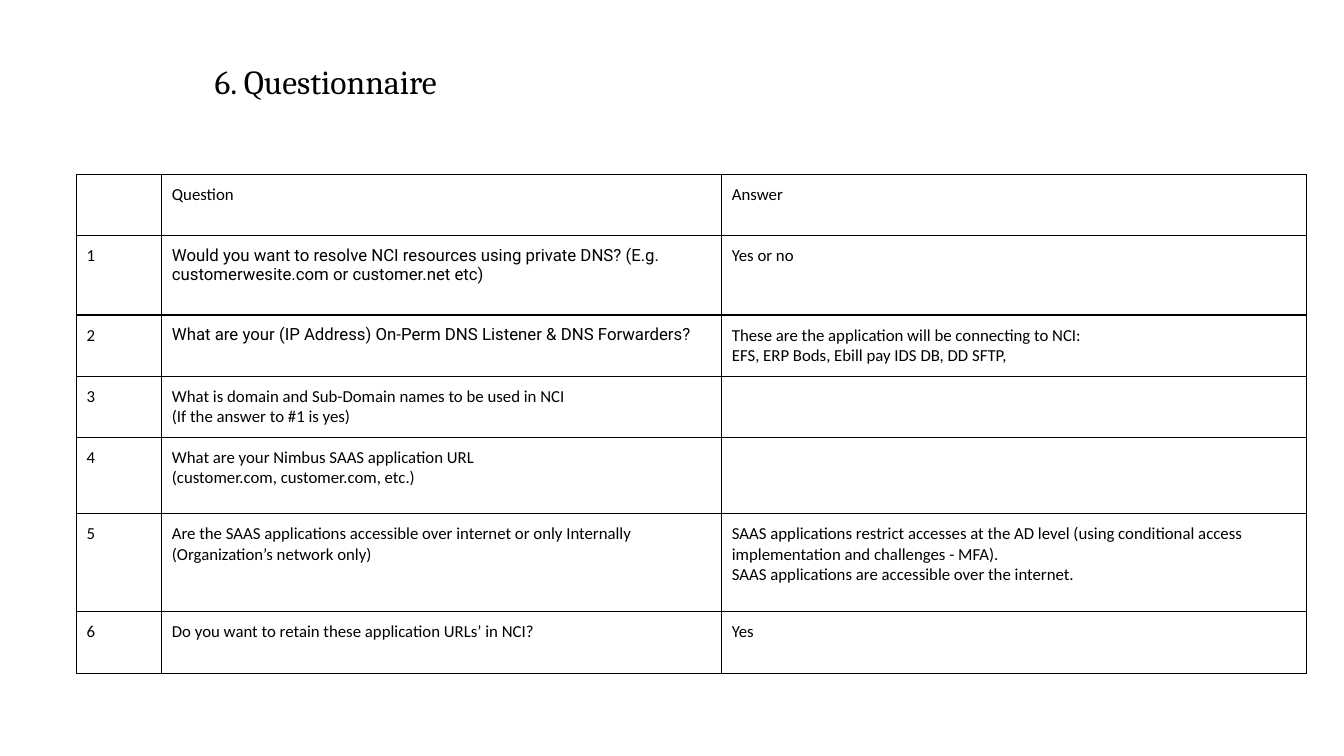
from lxml import etree
from pptx import Presentation
from pptx.dml.color import RGBColor
from pptx.enum.text import MSO_ANCHOR
from pptx.oxml.ns import qn
from pptx.util import Pt

TOP = MSO_ANCHOR.TOP

TITLE = "6. Questionnaire"
# Each cell is a list of paragraphs.
ROWS = [
    ([], ["Question"], ["Answer"]),
    (["1"],
     ["Would you want to resolve NCI resources using private "
      "DNS? (E.g. customerwesite.com or customer.net etc)"],
     ["Yes or no"]),
    (["2"],
     ["What are your (IP Address) On-Perm DNS Listener & DNS Forwarders?"],
     ["These are the application will be connecting to NCI:",
      "EFS, ERP Bods, Ebill pay IDS DB, DD SFTP,"]),
    (["3"],
     ["What is domain and Sub-Domain names to be used in NCI",
      "(If the answer to #1 is yes)"],
     []),
    (["4"],
     ["What are your Nimbus SAAS application URL",
      "(customer.com, customer.com, etc.)"],
     []),
    (["5"],
     ["Are the SAAS applications accessible over internet or only Internally",
      "(Organization’s network only)"],
     ["SAAS applications restrict accesses at the AD level (using conditional "
      "access implementation and challenges - MFA).",
      "SAAS applications are accessible over the internet."]),
    (["6"], ["Do you want to retain these application URLs’ in NCI?"], ["Yes"]),
]
ROBOTO_CELLS = {(1, 1), (2, 1)}

THEME = {
    "black": "000000",
    "title": {"name": "Cambria", "size": Pt(24)},
    "cell": {"name": "Calibri", "size": Pt(12)},
    "roboto": {"name": "Roboto", "size": Pt(12)},
    "border": Pt(1),
}
COLUMN_WIDTHS = [60.9, 400, 417.4]
ROW_HEIGHTS = [43.6, 56.8, 43.6, 43.6, 54.5, 70, 44.2]
TABLE_LEFT, TABLE_TOP = 54.7, 124.6


def set_attributes(target, values):
    for name, value in values.items():
        setattr(target, name, value)


def margins(size):
    return {f"margin_{side}": Pt(size) for side in ("left", "top", "right", "bottom")}


def style_font(font, style):
    set_attributes(font, style)
    font.color.rgb = RGBColor.from_string(THEME["black"])


def write_paragraphs(text_frame, lines, style):
    text_frame.text = "\n".join(lines)
    for paragraph in text_frame.paragraphs:
        style_font(paragraph.font, style)
        for run in paragraph.runs:
            style_font(run.font, style)


def add_borders(cell):
    properties = cell._tc.get_or_add_tcPr()
    for position, side in enumerate(("a:lnL", "a:lnR", "a:lnT", "a:lnB")):
        line = etree.Element(qn(side), w=str(THEME["border"]))
        fill = etree.SubElement(line, qn("a:solidFill"))
        etree.SubElement(fill, qn("a:srgbClr"), val=THEME["black"])
        properties.insert(position, line)


def add_title(slide):
    box = slide.shapes.add_textbox(Pt(138.2), Pt(37.4), Pt(594.7), Pt(54))
    set_attributes(box.text_frame, {"word_wrap": True, "vertical_anchor": TOP, **margins(9.4)})
    write_paragraphs(box.text_frame, [TITLE], THEME["title"])
    paragraph = box.text_frame.paragraphs[0]
    paragraph.line_spacing = 0.9
    paragraph._p.get_or_add_pPr().set("marL", str(Pt(5.8)))


def add_questionnaire(slide):
    frame = slide.shapes.add_table(
        len(ROWS), len(COLUMN_WIDTHS), Pt(TABLE_LEFT), Pt(TABLE_TOP),
        Pt(sum(COLUMN_WIDTHS)), Pt(sum(ROW_HEIGHTS)))
    table = frame.table
    set_attributes(table, {"first_row": False, "horz_banding": False})
    for column, width in zip(table.columns, COLUMN_WIDTHS):
        column.width = Pt(width)
    for row, height in zip(table.rows, ROW_HEIGHTS):
        row.height = Pt(height)
    for row_index, row in enumerate(ROWS):
        for column_index, lines in enumerate(row):
            cell = table.cell(row_index, column_index)
            set_attributes(cell, {"vertical_anchor": TOP, **margins(7.2)})
            cell.fill.background()
            add_borders(cell)
            style = "roboto" if (row_index, column_index) in ROBOTO_CELLS else "cell"
            write_paragraphs(cell.text_frame, lines, THEME[style])


def main():
    presentation = Presentation()
    set_attributes(presentation, {"slide_width": Pt(960), "slide_height": Pt(540)})
    slide = presentation.slides.add_slide(presentation.slide_layouts[6])
    add_questionnaire(slide)
    add_title(slide)
    presentation.save("out.pptx")


if __name__ == "__main__":
    main()
